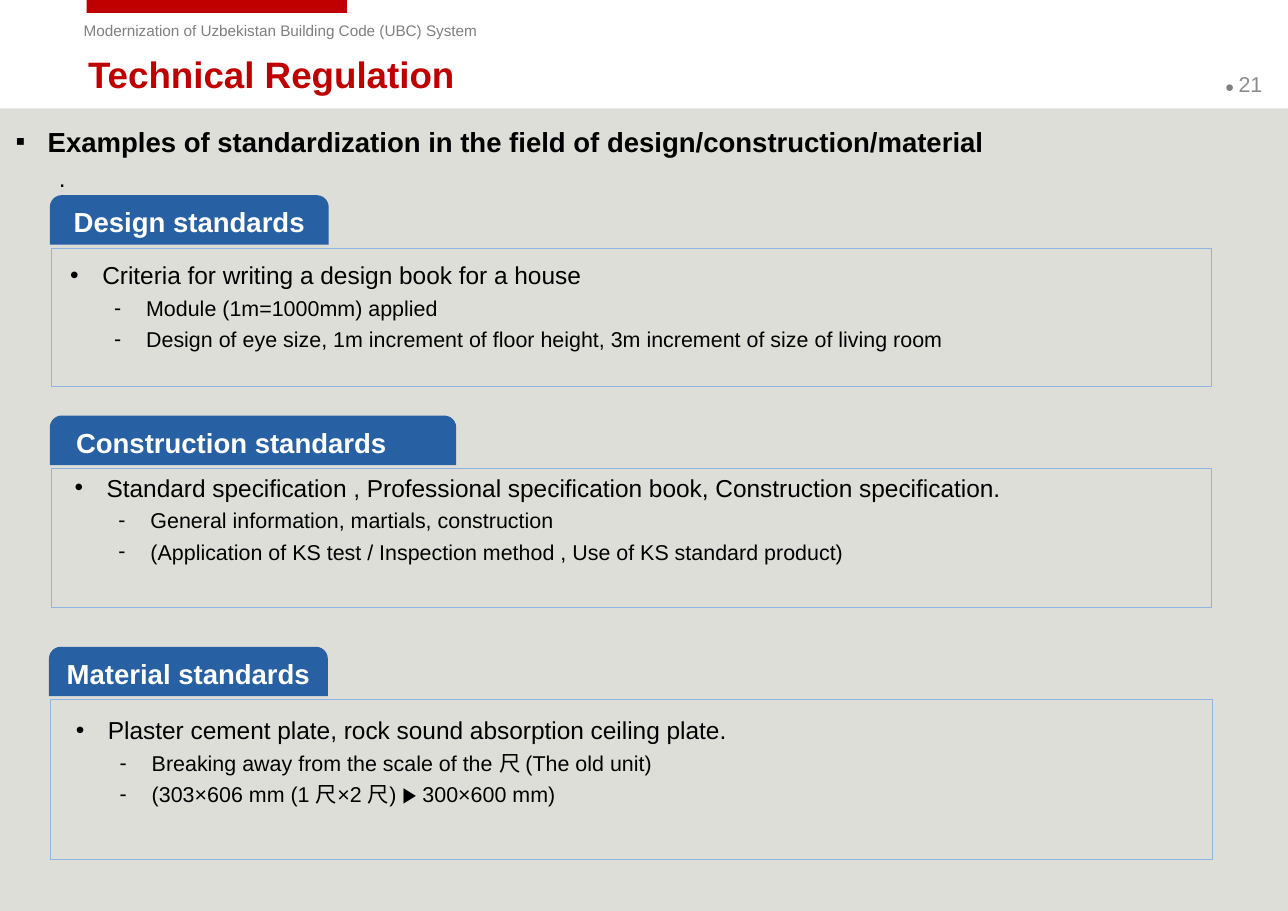
from dataclasses import dataclass

from lxml import etree
from pptx import Presentation
from pptx import util as u
from pptx.dml.color import RGBColor
from pptx.enum import shapes, text
from pptx.oxml import ns


@dataclass(frozen=True)
class Theme:
    font: str = "Arial"
    red: str = "C00000"
    blue: str = "2860A4"
    outline: str = "8EB4E3"
    ground: str = "DEDED8"
    grey: str = "808080"
    number_grey: str = "8C8C8C"
    black: str = "000000"
    white: str = "FFFFFF"
    title_size: int = 24
    heading_size: int = 18
    item_size: int = 16
    detail_size: int = 14
    small_size: int = 10
    gap: float = 3.5


THEME = Theme()
HANGING = 0.74
DETAIL_INDENT = 1.75

# Tab label, tab width, tab right inset, box (left, top, width, height),
# text inset (left, top), item, details
SECTIONS = [
    ("Design standards", 6.43, 0, (1.19, 5.72, 26.75, 3.2), (0.43, 0.28),
     "Criteria for writing a design book for a house",
     ["Module (1m=1000mm) applied",
      "Design of eye size, 1m increment of floor height, "
      "3m increment of size of living room"]),
    ("Construction standards", 9.37, 1, (1.19, 10.8, 26.75, 3.2), (0.53, 0.1),
     "Standard specification , Professional specification book, "
     "Construction specification.",
     ["General information, martials, construction",
      "(Application of KS test / Inspection method , Use of KS standard product)"]),
    ("Material standards", 6.43, 0, (1.17, 16.13, 26.8, 3.68), (0.58, 0.36),
     "Plaster cement plate, rock sound absorption ceiling plate.",
     ["Breaking away from the scale of the 尺 (The old unit)",
      "(303×606 mm (1 尺×2 尺) ▶ 300×600 mm)"]),
]


def set_font(font, size, color, bold=False):
    font.name = THEME.font
    font.size = u.Pt(size)
    font.bold = bold
    font.color.rgb = RGBColor.from_string(color)


def set_frame(shape, left=0.28, top=0.15, right=0.28,
              anchor=text.MSO_ANCHOR.TOP):
    frame = shape.text_frame
    frame.word_wrap = True
    frame.margin_left, frame.margin_right = u.Cm(left), u.Cm(right)
    frame.margin_top = frame.margin_bottom = u.Cm(top)
    frame.vertical_anchor = anchor
    return frame


def add_text(slide, x, y, width, height, **frame_options):
    box = slide.shapes.add_textbox(u.Cm(x), u.Cm(y), u.Cm(width), u.Cm(height))
    return set_frame(box, **frame_options)


def add_block(slide, kind, left, top, width, height, fill=None, line=None):
    shape = slide.shapes.add_shape(
        kind, u.Cm(left), u.Cm(top), u.Cm(width), u.Cm(height))
    shape.shadow.inherit = False
    if fill:
        shape.fill.solid()
        shape.fill.fore_color.rgb = RGBColor.from_string(fill)
    else:
        shape.fill.background()
    if line:
        shape.line.color.rgb = RGBColor.from_string(line)
        shape.line.width = u.Pt(0.75)
    else:
        shape.line.fill.background()
    return shape


def write_line(frame, content, size, bullet=None, indent=0.0, bold=False):
    """Fill the empty first paragraph, or append one with a gap above it."""
    paragraph = frame.paragraphs[0]
    if paragraph.runs:
        paragraph = frame.add_paragraph()
        paragraph.space_before = u.Pt(THEME.gap)
    paragraph.text = content
    paragraph.alignment = text.PP_ALIGN.LEFT
    properties = paragraph._p.get_or_add_pPr()
    properties.set("marL", str(u.Cm(indent)))
    if bullet:
        properties.set("indent", str(-u.Cm(HANGING)))
        etree.SubElement(properties, ns.qn("a:buFont"), typeface=THEME.font)
        etree.SubElement(properties, ns.qn("a:buChar"), char=bullet)
    set_font(paragraph.font, size, THEME.black, bold)


def add_page_number(slide):
    frame = add_text(slide, 27.97, 1.37, 1.73, 1.12, anchor=text.MSO_ANCHOR.MIDDLE)
    paragraph = frame.paragraphs[0]
    dot, number = paragraph.add_run(), paragraph.add_run()
    dot.text, number.text = "● ", "21"
    set_font(dot.font, THEME.small_size, THEME.grey)
    set_font(number.font, THEME.detail_size, THEME.number_grey)


def add_header(slide):
    rectangle = shapes.MSO_SHAPE.RECTANGLE
    add_block(slide, rectangle, 0, 2.5, 29.7, 18.5, fill=THEME.ground)
    add_block(slide, rectangle, 2, 0, 6, 0.3, fill=THEME.red)

    frame = add_text(slide, 1.68, 0.36, 11.9, 0.68, left=0.25, top=0.13)
    paragraph = frame.paragraphs[0]
    paragraph.text = "Modernization of Uzbekistan Building Code (UBC) System"
    set_font(paragraph.font, THEME.small_size, THEME.grey)
    add_page_number(slide)

    title = slide.shapes.title
    title.left, title.top = u.Cm(1.75), u.Cm(1.19)
    title.width, title.height = u.Cm(26.47), u.Cm(1.02)
    frame = set_frame(title, anchor=text.MSO_ANCHOR.MIDDLE)
    frame.auto_size = text.MSO_AUTO_SIZE.NONE
    paragraph = frame.paragraphs[0]
    paragraph.text = "Technical Regulation"
    paragraph.alignment = text.PP_ALIGN.LEFT
    set_font(paragraph.font, THEME.title_size, THEME.red, bold=True)


def add_heading(slide):
    frame = add_text(slide, 0.08, 2.72, 28.9, 1.8)
    write_line(
        frame, "Examples of standardization in the field of design/construction/material",
        THEME.heading_size, "▪", HANGING, bold=True)
    write_line(frame, ".", THEME.item_size, indent=1)


def add_section(slide, label, tab_width, tab_inset, box, inset, item, details):
    """Draw a rounded tab above an outlined box of bullets."""
    left, top, width, height = box
    panel = add_block(slide, shapes.MSO_SHAPE.RECTANGLE, left, top, width, height,
                      line=THEME.outline)
    frame = set_frame(panel, left=inset[0], top=inset[1])
    write_line(frame, item, THEME.item_size, "•", HANGING)
    for detail in details:
        write_line(frame, detail, THEME.detail_size, "-", DETAIL_INDENT)

    tab = add_block(slide, shapes.MSO_SHAPE.ROUND_2_SAME_RECTANGLE,
                    left - 0.04, top - 1.22, tab_width, 1.14, fill=THEME.blue)
    tab.adjustments[0] = 0.24
    frame = set_frame(tab, left=0, top=0, right=tab_inset,
                      anchor=text.MSO_ANCHOR.MIDDLE)
    paragraph = frame.paragraphs[0]
    paragraph.text = label
    paragraph.alignment = text.PP_ALIGN.CENTER
    set_font(paragraph.font, THEME.heading_size, THEME.white, bold=True)


def main():
    presentation = Presentation()
    presentation.slide_width, presentation.slide_height = u.Cm(29.7), u.Cm(21)
    slide = presentation.slides.add_slide(presentation.slide_layouts[5])
    add_header(slide)
    add_heading(slide)
    for section in SECTIONS:
        add_section(slide, *section)
    presentation.save("out.pptx")


if __name__ == "__main__":
    main()
